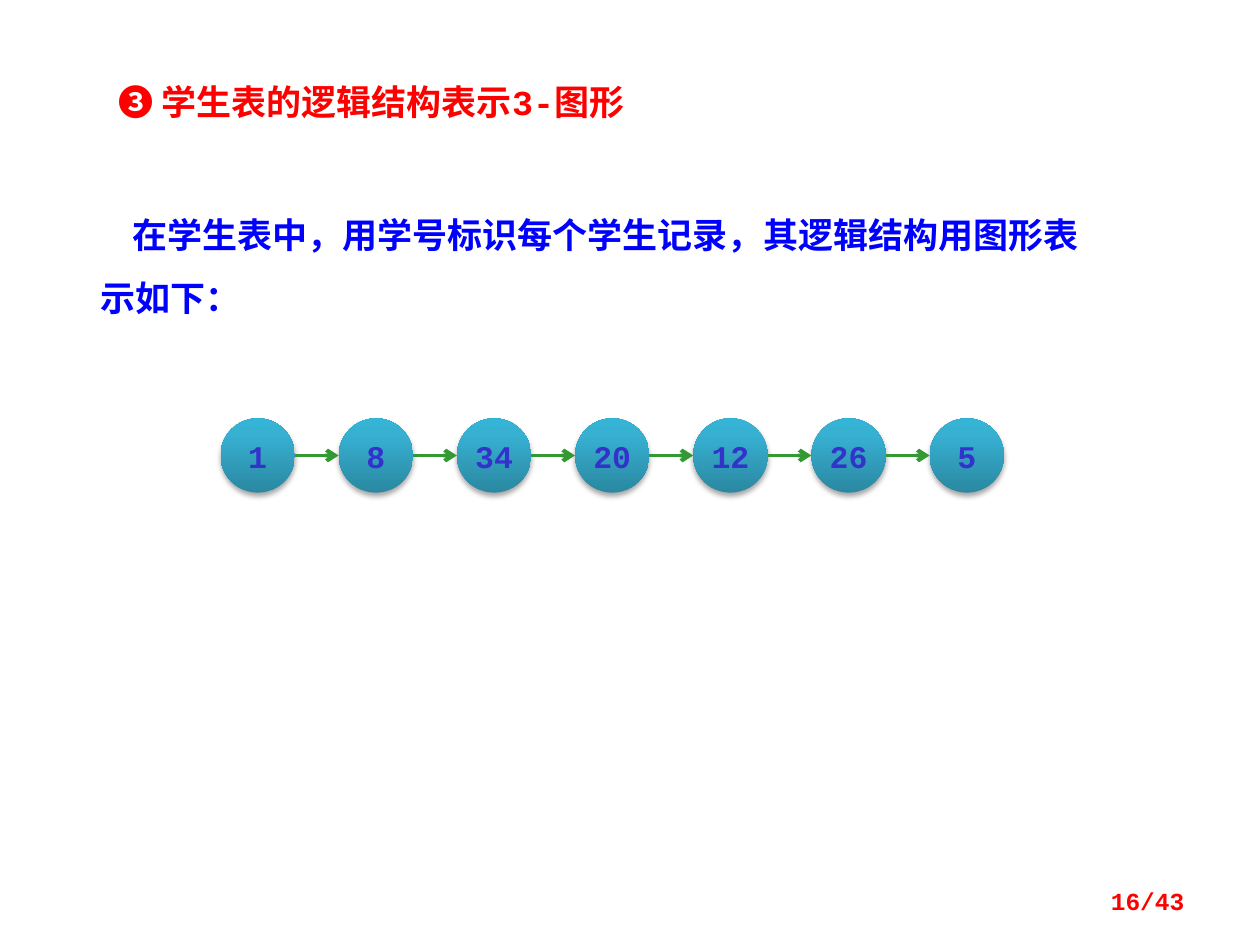
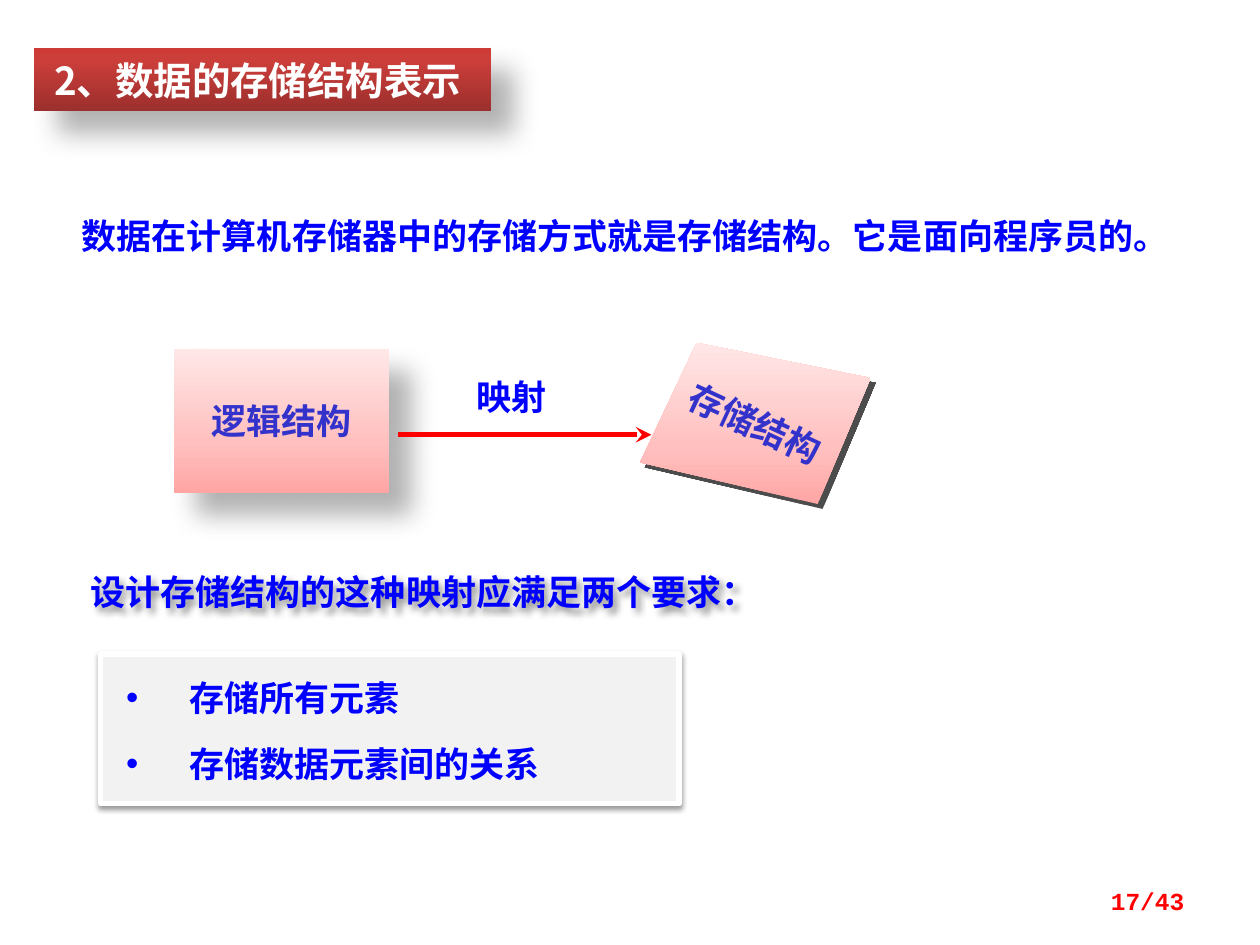
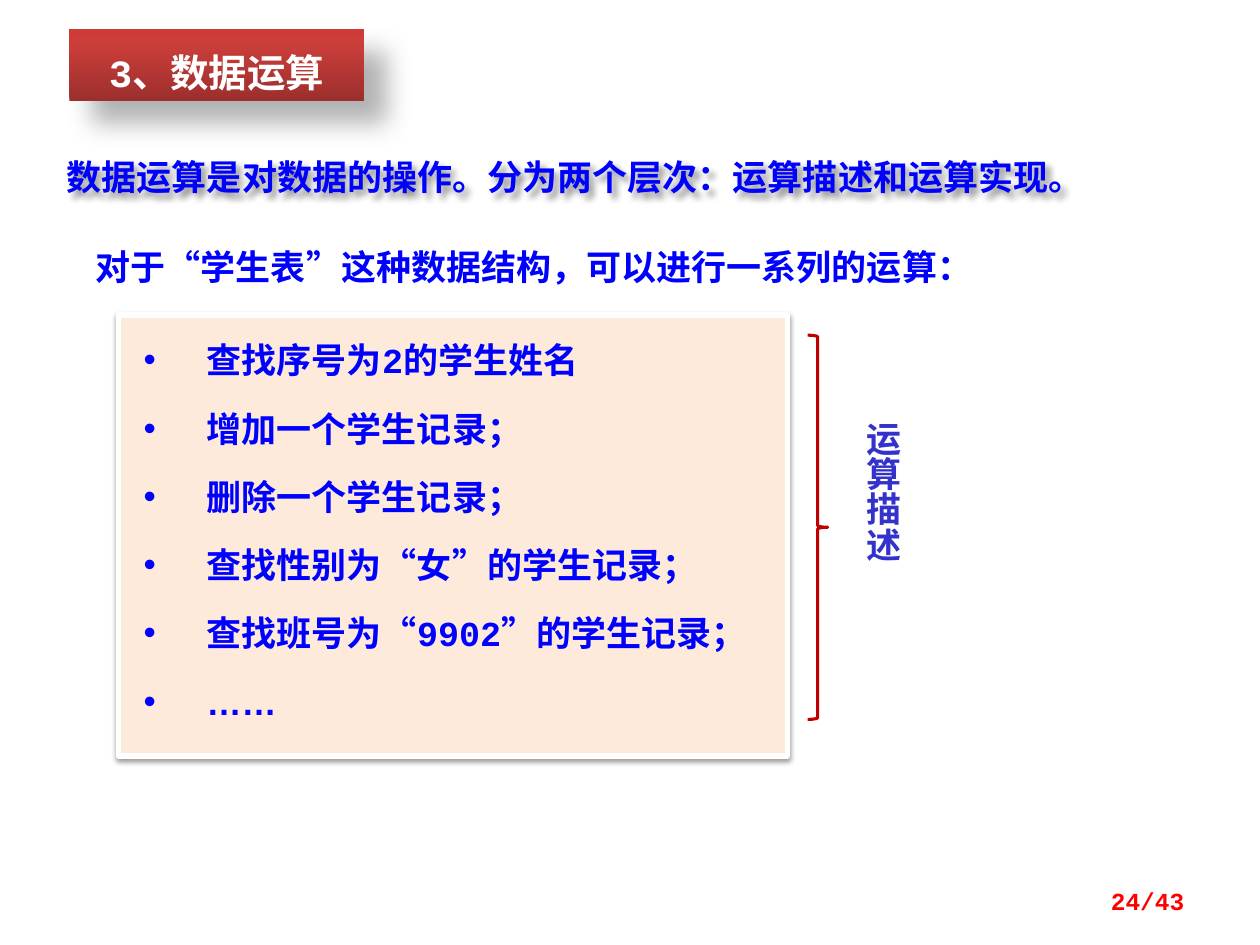
from copy import deepcopy

from lxml.etree import SubElement
from pptx import Presentation
from pptx.dml.color import RGBColor
from pptx.enum.shapes import MSO_CONNECTOR, MSO_SHAPE
from pptx.enum.text import MSO_ANCHOR, MSO_AUTO_SIZE, PP_ALIGN
from pptx.oxml.ns import qn
from pptx.util import Inches, Pt

# Shared style: lengths are cells of a 100 x 75 grid
COLUMNS = 100
MONO, SANS, ROUND_DOTS = "Courier New", "Noto Sans CJK SC", "Arial"
BLUE, INDIGO, RED, WHITE = "0000FF", "3333CC", "FF0000", "FFFFFF"
GREEN, DARK_RED = "339933", "C00000"
BANNER_FILL = [(0, "9C2F2D"), (0.8, "CB3E3A"), (1, "CE3B37")]
NODE_FILL = [(0, "2A88A2"), (0.8, "37B1D2"), (1, "34B4D6")]
PINK_FILL = [(0, "FFA6A5"), (0.35, "FFC0BF"), (1, "FFE7E7")]
# Shadows: opacity in percent, blur and distance in points, direction in degrees
DEEP_SHADOW = (30, 15, 18, 45)
NODE_SHADOW = (35, 3.1, 1.8, 90)
CARD_SHADOW = (38, 3.1, 1.6, 90)
TEXT_SHADOW = (43, 4, 3, 45)
EDGE_SHADOW = (70, 0, 4, 45)
INSETS = (1, 0.5, 1, 0.5)
PAGE_COUNT = 43


def color(value):
    return RGBColor.from_string(value)


class SlideBuilder:
    def __init__(self):
        self.deck = Presentation()
        self.deck.slide_width, self.deck.slide_height = Inches(10), Inches(7.5)
        self.cell = self.deck.slide_width / COLUMNS
        self.page = None

    def size(self, cells):
        return round(cells * self.cell)

    def new_page(self, number):
        self.page = self.deck.slides.add_slide(self.deck.slide_layouts[5])
        self.text((71.7, 69.5, 23.3, 4), f"{number}/{PAGE_COUNT}", size=14,
                  ink=RED, align=PP_ALIGN.RIGHT, anchor=MSO_ANCHOR.MIDDLE)

    # Look of a shape
    def gradient(self, shape, stops):
        shape.fill.gradient()
        shape.fill.gradient_angle = 90
        stop_list = shape.element.spPr.find(qn("a:gradFill")).find(qn("a:gsLst"))
        stop_list.append(deepcopy(stop_list[0]))
        for stop, (position, value) in zip(shape.fill.gradient_stops, stops):
            stop.position = position
            stop.color.rgb = color(value)

    def paint(self, shape, fill=None, line=None, shadow=None):
        shape.shadow.inherit = False
        if isinstance(fill, list):
            self.gradient(shape, fill)
        elif fill:
            shape.fill.solid()
            shape.fill.fore_color.rgb = color(fill)
        else:
            shape.fill.background()
        if line:
            shape.line.color.rgb = color(line[0])
            shape.line.width = Pt(line[1])
        else:
            shape.line.fill.background()
        if shadow:
            opacity, blur, distance, direction = shadow
            effects = shape.element.spPr.find(qn("a:effectLst"))
            outer = SubElement(effects, qn("a:outerShdw"), blurRad=str(Pt(blur)),
                               dist=str(Pt(distance)), dir=str(direction * 60000),
                               algn="ctr", rotWithShape="0")
            black = SubElement(outer, qn("a:srgbClr"), val="000000")
            SubElement(black, qn("a:alpha"), val=str(opacity * 1000))

    # Text
    def put_text(self, shape, lines, size=20, font=MONO, ink=BLUE, spacing=None,
                 align=PP_ALIGN.LEFT, anchor=MSO_ANCHOR.TOP, insets=INSETS,
                 indent=0, bullets=False, wrap=True):
        frame = shape.text_frame
        frame.word_wrap = wrap
        frame.auto_size = MSO_AUTO_SIZE.NONE
        frame.vertical_anchor = anchor
        (frame.margin_left, frame.margin_top,
         frame.margin_right, frame.margin_bottom) = map(self.size, insets)
        for index, line in enumerate([lines] if isinstance(lines, str) else lines):
            para = frame.add_paragraph() if index else frame.paragraphs[0]
            para.alignment = align
            para.space_before = Pt(10 if index else 0)
            if spacing:
                para.line_spacing = Pt(spacing)
            if bullets:
                self.bullet(para)
            elif indent:
                para._p.get_or_add_pPr().set("indent", str(self.size(indent)))
            span = para.add_run()
            span.text = line
            span.font.size = Pt(size)
            span.font.bold = True
            span.font.color.rgb = color(ink)
            only_dots = line == "……"
            span.font.name = ROUND_DOTS if only_dots else font
            SubElement(span._r.get_or_add_rPr(), qn("a:ea"),
                       typeface=ROUND_DOTS if only_dots else SANS)

    def bullet(self, para):
        properties = para._p.get_or_add_pPr()
        properties.set("marL", str(self.size(5)))
        properties.set("indent", str(self.size(-5)))
        SubElement(properties, qn("a:buFont"), typeface=ROUND_DOTS)
        SubElement(properties, qn("a:buChar"), char="•")

    # Elements
    def text(self, place, lines, shadow=None, **style):
        box = self.page.shapes.add_textbox(*map(self.size, place))
        self.paint(box, shadow=shadow)
        self.put_text(box, lines, **style)
        return box

    def title(self, place, words, fill=None, shadow=None, **style):
        title = self.page.shapes.title
        title.left, title.top, title.width, title.height = map(self.size, place)
        self.paint(title, fill, shadow=shadow)
        self.put_text(title, words, **style)

    def banner(self, place, words, **style):
        self.title(place, words, BANNER_FILL, DEEP_SHADOW, size=22, ink=WHITE, **style)

    def shape(self, kind, place, fill=None, line=None, shadow=None):
        shape = self.page.shapes.add_shape(kind, *map(self.size, place))
        self.paint(shape, fill, line, shadow)
        return shape

    def card(self, place, lines, fill, **style):
        card = self.shape(MSO_SHAPE.RECTANGLE, place, fill, (WHITE, 3), CARD_SHADOW)
        self.put_text(card, lines, insets=(2, 1.2, 1, 1.2), bullets=True, **style)

    def outline(self, corners, fill, shadow):
        points = [tuple(map(self.size, corner)) for corner in corners]
        builder = self.page.shapes.build_freeform(*points[0])
        builder.add_line_segments(points[1:], close=True)
        shape = builder.convert_to_shape()
        self.paint(shape, fill, shadow=shadow)
        return shape

    def arrow(self, left, right, row, ink, width, head):
        ends = map(self.size, (left, row, right, row))
        arrow = self.page.shapes.add_connector(MSO_CONNECTOR.STRAIGHT, *ends)
        arrow.line.color.rgb = color(ink)
        arrow.line.width = Pt(width)
        SubElement(arrow.line._get_or_add_ln(), qn("a:tailEnd"), type=head)
        SubElement(arrow.element.spPr, qn("a:effectLst"))


def graph_page(slide):
    slide.new_page(16)
    slide.title((7.8, 6.2, 68.8, 3.7), "❸ 学生表的逻辑结构表示3-图形",
                ink=RED, spacing=22, insets=(1.6, 0.5, 1, 0.5))
    slide.text((7, 14.8, 81.3, 10.5),
               "在学生表中，用学号标识每个学生记录，其逻辑结构用图形表示如下：",
               spacing=36, indent=2.5)
    # Chain of student numbers
    numbers = ["1", "8", "34", "20", "12", "26", "5"]
    first, top, diameter, pitch = 17.5, 33.2, 5.9, 9.38
    for index, number in enumerate(numbers):
        left = first + index * pitch
        node = slide.shape(MSO_SHAPE.OVAL, (left, top, diameter, diameter),
                           NODE_FILL, shadow=NODE_SHADOW)
        slide.put_text(node, number, size=18, ink=INDIGO, align=PP_ALIGN.CENTER,
                       anchor=MSO_ANCHOR.MIDDLE, insets=(0, 0.5, 0, 0.5))
        if index:
            slide.arrow(left - pitch + diameter, left, top + diameter / 2,
                        GREEN, 2.25, "arrow")


def storage_page(slide):
    slide.new_page(17)
    slide.banner((2.7, 3.8, 36.3, 5), "2、数据的存储结构表示", font=SANS,
                 spacing=26, insets=(1.6, 0.8, 1, 0.8))
    slide.text((5.5, 15.6, 89.1, 4.5),
               "数据在计算机存储器中的存储方式就是存储结构。它是面向程序员的。",
               font=SANS, spacing=30.5)
    # Mapping from logical to storage structure
    label = dict(font=SANS, ink=INDIGO, align=PP_ALIGN.CENTER,
                 anchor=MSO_ANCHOR.MIDDLE, wrap=False)
    logical = slide.shape(MSO_SHAPE.RECTANGLE, (13.8, 27.7, 17.1, 11.4),
                          PINK_FILL, shadow=DEEP_SHADOW)
    slide.put_text(logical, "逻辑结构", **label)
    storage = slide.outline([(50.8, 36.7), (55.3, 27.2), (69.1, 30), (64.9, 40)],
                            PINK_FILL, EDGE_SHADOW)
    slide.put_text(storage, "存储结构", **label)
    storage.text_frame._txBody.bodyPr.set("rot", str(25 * 60000))
    slide.arrow(31.6, 51.7, 34.5, RED, 3, "stealth")
    slide.text((36.8, 29.1, 8.9, 4.4), "映射", font=SANS, spacing=25.5)
    # Requirements
    slide.text((6.2, 43.8, 67.2, 6), "设计存储结构的这种映射应满足两个要求：",
               TEXT_SHADOW, font=SANS, spacing=25.5, insets=(1, 1.3, 1, 1.3))
    slide.card((8, 51.9, 45.9, 11.9), ["存储所有元素", "存储数据元素间的关系"],
               "F2F2F2", font=SANS, spacing=28)


def operations_page(slide):
    slide.new_page(24)
    slide.banner((5.5, 2.3, 23.4, 5.7), "3、数据运算", spacing=32,
                 align=PP_ALIGN.CENTER, insets=(1, 0.8, 1, 0.8))
    slide.text((3.1, 10.6, 93.8, 5),
               "数据运算是对数据的操作。分为两个层次：运算描述和运算实现。",
               TEXT_SHADOW, spacing=33, insets=(2.2, 0.5, 1, 0.5))
    slide.text((4.7, 18, 86.7, 4.7),
               "对于“学生表”这种数据结构，可以进行一系列的运算：",
               spacing=31, insets=(2.9, 0.5, 1, 0.5))
    # Operations and their bracket
    operations = ["查找序号为2的学生姓名", "增加一个学生记录；", "删除一个学生记录；",
                  "查找性别为“女”的学生记录；", "查找班号为“9902”的学生记录；", "……"]
    slide.card((9.4, 25, 53.1, 35), operations, "FDEADA", spacing=29)
    slide.shape(MSO_SHAPE.RIGHT_BRACE, (64.1, 26.6, 1.6, 30.5), line=(DARK_RED, 1.75))
    caption = slide.text((67, 32.7, 4.7, 17.3), "运算描述", ink=INDIGO, spacing=24,
                         align=PP_ALIGN.CENTER, insets=(0, 0.8, 0, 0))
    caption.text_frame._txBody.bodyPr.set("vert", "eaVert")


def main():
    slide = SlideBuilder()
    graph_page(slide)
    storage_page(slide)
    operations_page(slide)
    slide.deck.save("out.pptx")


if __name__ == "__main__":
    main()
